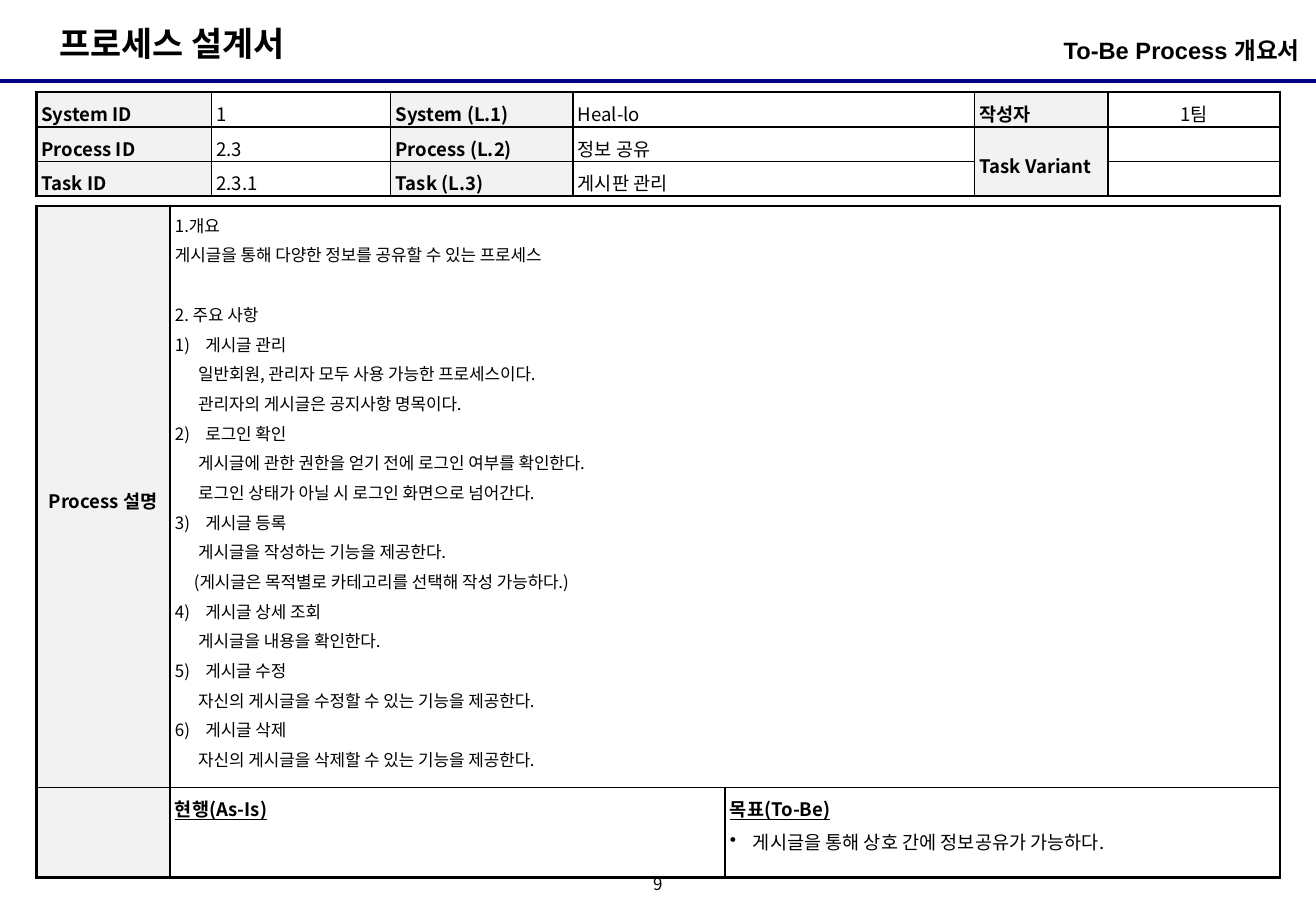
from lxml.etree import SubElement
from pptx import Presentation
from pptx.dml.color import RGBColor
from pptx.enum.shapes import MSO_CONNECTOR as CONNECTOR
from pptx.enum.text import MSO_ANCHOR as ANCHOR, MSO_AUTO_SIZE as AUTO_SIZE, PP_ALIGN as ALIGN
from pptx.oxml.ns import qn
from pptx.util import Pt

BLACK = RGBColor(0x00, 0x00, 0x00)
WHITE = RGBColor(0xFF, 0xFF, 0xFF)
NAVY = RGBColor(0x00, 0x00, 0x80)
LABEL_GREY = RGBColor(0xF2, 0xF2, 0xF2)

KOREAN_FONT = "Noto Sans CJK KR"
TITLE_ONLY = 5
OUTER, INNER = 1.5, 1  # border widths
CELL_SPACING = 0.09  # paragraph spacing as a share of the text size


def set_all(target, values):
    for name, value in values.items():
        setattr(target, name, value)


class DesignSheet:
    def __init__(self, width, height):
        self.presentation = Presentation()
        set_all(self.presentation, {"slide_width": Pt(width), "slide_height": Pt(height)})
        layout = self.presentation.slide_layouts[TITLE_ONLY]
        self.slide = self.presentation.slides.add_slide(layout)

    def add_text_run(self, paragraph, text, size, latin=KOREAN_FONT, **font):
        run = paragraph.add_run()
        run.text = text
        set_all(run.font, {"name": latin, "size": Pt(size), **font})
        run.font.color.rgb = BLACK
        SubElement(run._r.get_or_add_rPr(), qn("a:ea"), typeface=KOREAN_FONT)

    def fill_frame(self, shape, box, text, size, frame, alignment, line_spacing=1.0, **font):
        set_all(shape, dict(zip(("left", "top", "width", "height"), map(Pt, box))))
        text_frame = shape.text_frame
        set_all(text_frame, {"word_wrap": True, "auto_size": AUTO_SIZE.NONE, **frame})
        paragraph = text_frame.paragraphs[0]
        set_all(paragraph, {"alignment": alignment, "line_spacing": line_spacing})
        self.add_text_run(paragraph, text, size, **font)

    def title(self, box, text, size):
        frame = {"vertical_anchor": ANCHOR.MIDDLE}
        self.fill_frame(self.slide.shapes.title, box, text, size, frame, ALIGN.LEFT, bold=True)

    def text(self, box, *content, **font):
        shape = self.slide.shapes.add_textbox(0, 0, 0, 0)
        self.fill_frame(shape, box, *content, **font)

    def rule(self, top, width):
        line = self.slide.shapes.add_connector(
            CONNECTOR.STRAIGHT, 0, Pt(top), self.presentation.slide_width, Pt(top))
        line.line.color.rgb = NAVY
        line.line.width = Pt(width)
        SubElement(line._element.spPr, qn("a:effectLst"))

    def table(self, left, top, columns, rows, merges=()):
        frame = self.slide.shapes.add_table(
            len(rows), len(columns), Pt(left), Pt(top), Pt(sum(columns)), Pt(sum(rows)))
        table = frame.table
        set_all(table, {"first_row": False, "horz_banding": False})
        for column, width in zip(table.columns, columns):
            column.width = Pt(width)
        for row, height in zip(table.rows, rows):
            row.height = Pt(height)
        for first, last in merges:
            table.cell(*first).merge(table.cell(*last))
        for row in range(len(rows)):
            for column in range(len(columns)):
                cell = table.cell(row, column)
                if not cell.is_spanned:
                    self.borders(cell, {
                        "L": column == 0,
                        "R": column + cell.span_width == len(columns),
                        "T": row == 0,
                        "B": row + cell.span_height == len(rows)})
        return table

    def borders(self, cell, outer_sides):
        properties = cell._tc.get_or_add_tcPr()
        for side, is_outer in outer_sides.items():
            width = Pt(OUTER if is_outer else INNER)
            line = SubElement(properties, qn(f"a:ln{side}"), w=str(width))
            SubElement(SubElement(line, qn("a:solidFill")), qn("a:srgbClr"), val=str(BLACK))

    def cell(self, cell, paragraphs, size=11, fill=WHITE, anchor=ANCHOR.TOP,
             alignment=ALIGN.LEFT, **font):
        set_all(cell, {"margin_left": Pt(2.9), "margin_right": Pt(2.9), "margin_top": Pt(2.9),
                       "margin_bottom": 0, "vertical_anchor": anchor})
        cell.fill.solid()
        cell.fill.fore_color.rgb = fill
        spacing = CELL_SPACING * size
        for index, (text, options) in enumerate(paragraphs):
            frame = cell.text_frame
            paragraph = frame.add_paragraph() if index else frame.paragraphs[0]
            before = spacing + options.get("gap", 0) if index else 0
            set_all(paragraph, {"alignment": alignment, "line_spacing": 1.1,
                                "space_before": Pt(before), "space_after": Pt(spacing)})
            self.indent(paragraph, **options)
            if text:
                self.add_text_run(paragraph, text, size, **{**font, **options.get("font", {})})
            else:
                SubElement(paragraph._p, qn("a:endParaRPr"), sz=str(size * 100))

    def indent(self, paragraph, left=0, number=None, bullet=None, **_):
        properties = paragraph._p.get_or_add_pPr()
        hanging = left if number or bullet else 0
        properties.set("marL", str(Pt(left)))
        properties.set("indent", str(-Pt(hanging)))
        if number:
            SubElement(properties, qn("a:buAutoNum"), type="arabicParenR", startAt=str(number))
        elif bullet:
            SubElement(properties, qn("a:buChar"), char=bullet)


IDENTITY_ROWS = [
    ["System ID", "1", "System (L.1)", "Heal-lo", "작성자", "1팀"],
    ["Process ID", "2.3", "Process (L.2)", "정보 공유", "Task Variant", ""],
    ["Task ID", "2.3.1", "Task (L.3)", "게시판 관리", None, ""],
]
FEATURES = [
    ("게시글 관리", ["일반회원, 관리자 모두 사용 가능한 프로세스이다.",
                "관리자의 게시글은 공지사항 명목이다."]),
    ("로그인 확인", ["게시글에 관한 권한을 얻기 전에 로그인 여부를 확인한다.",
                "로그인 상태가 아닐 시 로그인 화면으로 넘어간다."]),
    ("게시글 등록", ["게시글을 작성하는 기능을 제공한다.",
                "(게시글은 목적별로 카테고리를 선택해 작성 가능하다.)"]),
    ("게시글 상세 조회", ["게시글을 내용을 확인한다."]),
    ("게시글 수정", ["자신의 게시글을 수정할 수 있는 기능을 제공한다."]),
    ("게시글 삭제", ["자신의 게시글을 삭제할 수 있는 기능을 제공한다."]),
]


def description():
    paragraphs = [("1.개요", {}),
                  ("게시글을 통해 다양한 정보를 공유할 수 있는 프로세스", {}),
                  ("2. 주요 사항", {"gap": 17.8})]
    for number, (feature, details) in enumerate(FEATURES, 1):
        paragraphs.append((feature, {"left": 18, "number": number}))
        for detail in details:
            paragraphs.append((detail, {"left": 11.2 if detail.startswith("(") else 13.8}))
    return paragraphs


def main():
    sheet = DesignSheet(780, 540)

    # Header
    sheet.rule(48, 2.25)
    sheet.title((28, 9.4, 200, 31.7), "프로세스 설계서", 20)
    sheet.text((532, 18, 238.4, 28), "To-Be Process 개요서", 14,
               {"margin_left": 0, "margin_right": 0}, ALIGN.RIGHT, latin="Arial", bold=True)

    # Identity table: labels in every other column
    identity = sheet.table(21.6, 54.7, [103.7, 106.3, 108, 238, 79.2, 102], [20.4] * 3,
                           merges=[((1, 4), (2, 4))])
    for row, texts in enumerate(IDENTITY_ROWS):
        for column, text in enumerate(texts):
            if text is None:
                continue
            is_label = column % 2 == 0
            sheet.cell(identity.cell(row, column), [(text, {})], bold=is_label,
                       fill=LABEL_GREY if is_label else WHITE,
                       anchor=ANCHOR.MIDDLE if column >= 4 else ANCHOR.TOP,
                       alignment=ALIGN.CENTER if column == 5 else ALIGN.LEFT)

    # Process description and goals
    process = sheet.table(21.6, 121.9, [79.2, 329, 329], [345, 53.3],
                          merges=[((0, 1), (0, 2))])
    for row, label in enumerate(["Process 설명", ""]):
        sheet.cell(process.cell(row, 0), [(label, {})], fill=LABEL_GREY, bold=True,
                   anchor=ANCHOR.MIDDLE, alignment=ALIGN.CENTER)
    sheet.cell(process.cell(0, 1), description(), size=10)
    heading = {"font": {"bold": True, "underline": True}}
    sheet.cell(process.cell(1, 1), [("현행(As-Is)", heading)])
    sheet.cell(process.cell(1, 2), [
        ("목표(To-Be)", heading),
        ("게시글을 통해 상호 간에 정보공유가 가능하다.", {"left": 13.6, "bullet": "•"})])

    # Page number
    no_margins = dict.fromkeys(("margin_left", "margin_top", "margin_right", "margin_bottom"), 0)
    sheet.text((378, 516.2, 23.8, 18), "9", 10,
               {**no_margins, "vertical_anchor": ANCHOR.MIDDLE}, ALIGN.CENTER, 0.8)

    sheet.presentation.save("out.pptx")


if __name__ == "__main__":
    main()
